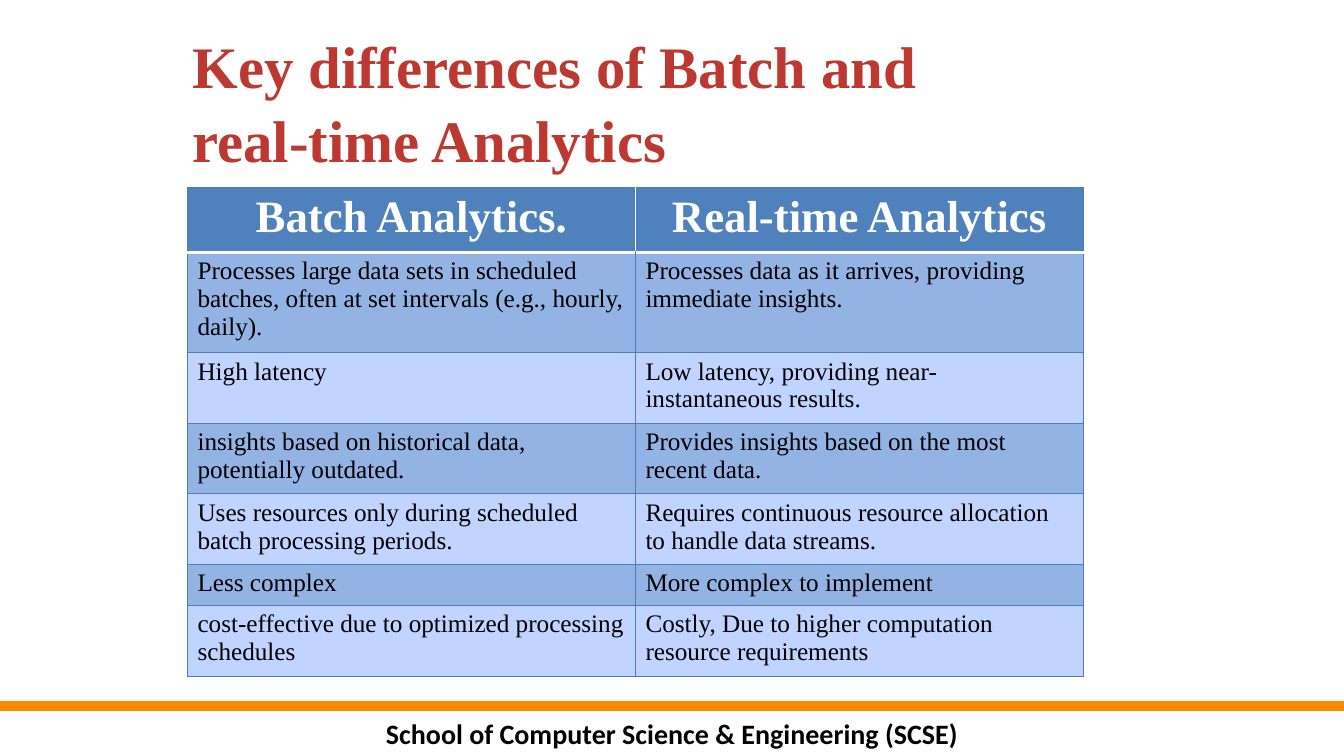
from lxml.etree import SubElement
from pptx import Presentation
from pptx.dml.color import RGBColor
from pptx.enum.text import MSO_ANCHOR as Anchor, MSO_AUTO_SIZE as AutoSize, PP_ALIGN as Align
from pptx.oxml.ns import qn
from pptx.util import Pt

TITLE = "Key differences of Batch and real-time Analytics"
FOOTER = "School of Computer Science & Engineering (SCSE)"
HEADERS = ("Batch Analytics.", "Real-time Analytics")
# left text, right text, row height
ROWS = [
    ("Processes large data sets in scheduled batches, often at set intervals (e.g., hourly, daily).",
     "Processes data as it arrives, providing immediate insights.", 71.5),
    ("High latency",
     "Low latency, providing near-instantaneous results.", 50.4),
    ("insights based on historical data, potentially outdated.",
     "Provides insights based on the most recent data.", 50.4),
    ("Uses resources only during scheduled batch processing periods.",
     "Requires continuous resource allocation to handle data streams.", 50.4),
    ("Less complex",
     "More complex to implement", 29.5),
    ("cost-effective due to optimized processing schedules",
     "Costly, Due to higher computation resource requirements", 50.4),
]
COLORS = {
    "title": "BD3830", "header": "4F81BD", "dark band": "93B3E5", "light band": "C0D4FF",
    "grid": "4B7EBC", "rule": "FF8800", "white": "FFFFFF", "black": "000000",
}
PAGE_WIDTH, PAGE_HEIGHT = 960, 540
LEFT = 133.9
TABLE_TOP, TABLE_WIDTH = 133.9, 640
HEADER_HEIGHT = 46.4
RULE_Y = 504


def color(name):
    return RGBColor.from_string(COLORS[name])


def write(frame, text, font="Times New Roman", size=18, ink="black", bold=False,
          align=Align.LEFT, spacing=1.0):
    para = frame.paragraphs[0]
    para.alignment = align
    para.line_spacing = spacing
    span = para.add_run()
    span.text = text
    span.font.name = font
    span.font.size = Pt(size)
    span.font.bold = bold
    span.font.color.rgb = color(ink)


def fit_frame(frame):
    """Wrap the text from the top with narrow margins."""
    frame.word_wrap = True
    frame.auto_size = AutoSize.NONE
    frame.vertical_anchor = Anchor.TOP
    frame.margin_left = frame.margin_right = Pt(3.6)
    frame.margin_top = frame.margin_bottom = Pt(3.6)


def add_border(cell, side, ink="grid", width=0.75):
    line = SubElement(cell._tc.get_or_add_tcPr(), qn(f"a:ln{side}"), w=str(Pt(width)))
    fill = SubElement(line, qn("a:solidFill"))
    SubElement(fill, qn("a:srgbClr"), val=COLORS[ink])


def style_cell(cell, row, column):
    is_header = row == 0
    sides = "LRTB"
    if is_header:
        sides = "LT" if column == 0 else "RT"
    elif row == 1:
        sides = "LRB"
    for side in sides:
        add_border(cell, side)
    if is_header:
        add_border(cell, "B", ink="white", width=2)
    elif row == 1:
        add_border(cell, "T", ink="white", width=2)
    cell.fill.solid()
    band = "dark band" if row % 2 else "light band"
    cell.fill.fore_color.rgb = color("header" if is_header else band)


def add_title(page):
    title = page.shapes.title
    title.left, title.top, title.width, title.height = Pt(LEFT), Pt(15.1), Pt(614.2), Pt(108.7)
    fit_frame(title.text_frame)
    write(title.text_frame, TITLE, size=42, ink="title", bold=True, spacing=1.05)


def add_comparison(page):
    heights = [HEADER_HEIGHT] + [height for _, _, height in ROWS]
    texts = [HEADERS] + [(batch, real_time) for batch, real_time, _ in ROWS]
    table = page.shapes.add_table(len(texts), len(HEADERS), Pt(LEFT), Pt(TABLE_TOP),
                                  Pt(TABLE_WIDTH), Pt(sum(heights))).table
    for row, (height, pair) in enumerate(zip(heights, texts)):
        table.rows[row].height = Pt(height)
        for column, text in enumerate(pair):
            cell = table.cell(row, column)
            style_cell(cell, row, column)
            if row == 0:
                write(cell.text_frame, text, size=32, ink="white", bold=True, align=Align.CENTER)
            else:
                write(cell.text_frame, text)


def add_footer(page):
    box = page.shapes.add_textbox(Pt(0), Pt(508.3), Pt(PAGE_WIDTH), Pt(26.6))
    fit_frame(box.text_frame)
    write(box.text_frame, FOOTER, font="Calibri", size=20, bold=True, align=Align.CENTER)
    rule = page.shapes.add_connector(1, Pt(0), Pt(RULE_Y), Pt(PAGE_WIDTH), Pt(RULE_Y))
    rule.line.color.rgb = color("rule")
    rule.line.width = Pt(7)
    SubElement(rule._element.spPr, qn("a:effectLst"))


def main():
    deck = Presentation()
    deck.slide_width, deck.slide_height = Pt(PAGE_WIDTH), Pt(PAGE_HEIGHT)
    page = deck.slides.add_slide(deck.slide_layouts[5])
    add_footer(page)
    add_title(page)
    add_comparison(page)
    deck.save("out.pptx")


if __name__ == "__main__":
    main()
